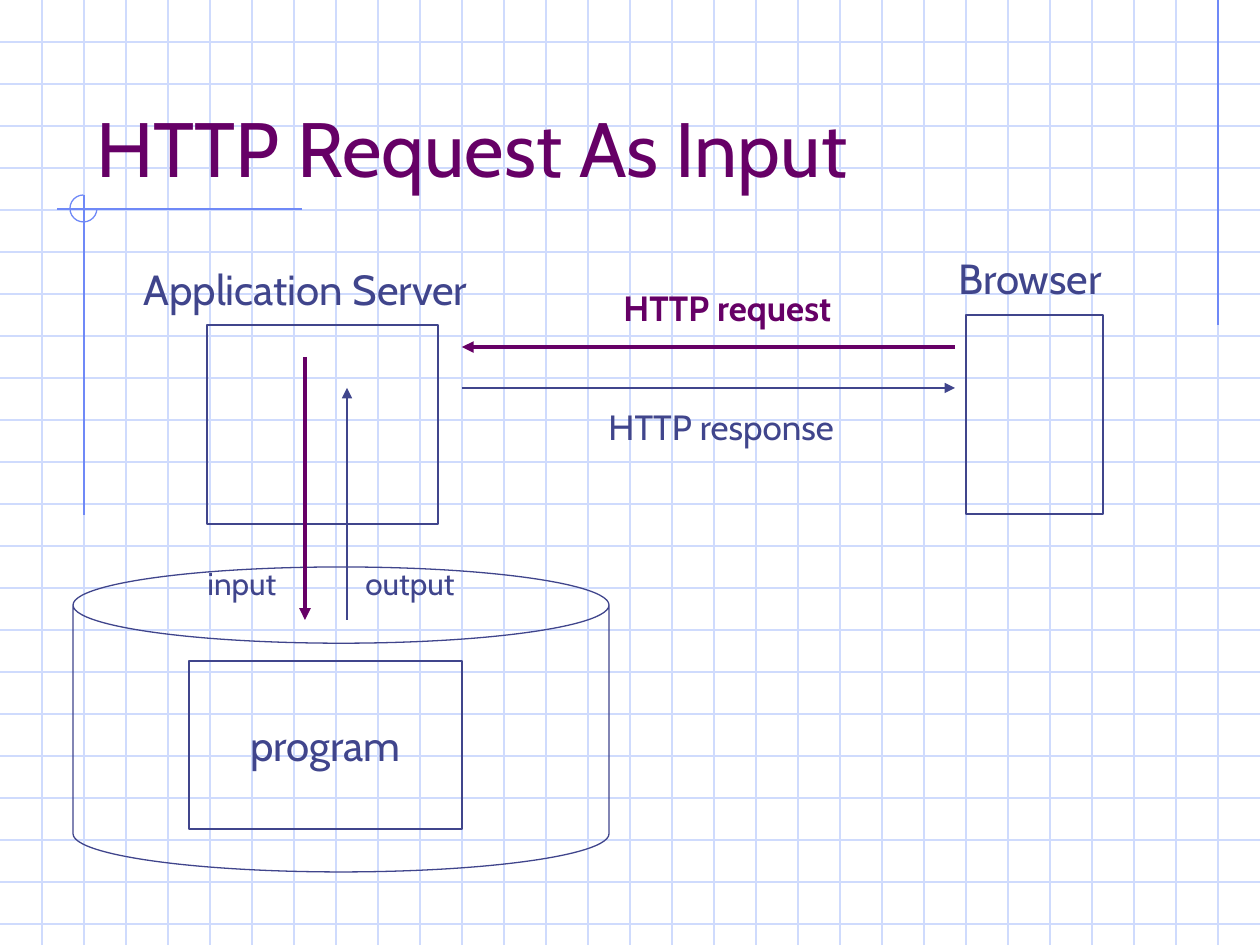
from typing import NamedTuple

from lxml import etree
from pptx import Presentation
from pptx.dml.color import RGBColor
from pptx.enum.shapes import MSO_CONNECTOR, MSO_SHAPE
from pptx.enum.text import MSO_ANCHOR, MSO_AUTO_SIZE, PP_ALIGN
from pptx.oxml.ns import qn
from pptx.util import Emu, Pt

STRAIGHT = MSO_CONNECTOR.STRAIGHT
RECT, CAN, ARC = MSO_SHAPE.RECTANGLE, MSO_SHAPE.CAN, MSO_SHAPE.ARC
TOP, MIDDLE, BOTTOM = MSO_ANCHOR.TOP, MSO_ANCHOR.MIDDLE, MSO_ANCHOR.BOTTOM
FIT_SHAPE, NO_FIT = MSO_AUTO_SIZE.SHAPE_TO_FIT_TEXT, MSO_AUTO_SIZE.NONE
CENTER = PP_ALIGN.CENTER

PX_PER_INCH = 126
WIDTH, HEIGHT, CELL = 1260, 945, 42
FONT = "Cabin"
GRID, ACCENT, INK, PLUM = "CFDBFD", "6F89F7", "40458C", "660066"
THIN, THICK = 0.75, 2.25


class Line(NamedTuple):
    x1: int
    y1: int
    x2: int
    y2: int
    color: str = INK
    weight: float = THIN
    arrow: bool = False


class Outline(NamedTuple):
    kind: MSO_SHAPE
    x: int
    y: int
    w: int
    h: int
    color: str = INK


class Label(NamedTuple):
    text: str
    x: int
    y: int
    w: int
    h: int
    size: int
    color: str = INK
    bold: bool = False


def px(n: int) -> Emu:
    return Emu(round(n * 914400 / PX_PER_INCH))


def rgb(color: str) -> RGBColor:
    return RGBColor.from_string(color)


def draw_line(s, line: Line):
    c = s.shapes.add_connector(STRAIGHT, px(line.x1), px(line.y1), px(line.x2), px(line.y2))
    c.line.color.rgb = rgb(line.color)
    c.line.width = Pt(line.weight)
    if line.arrow:
        etree.SubElement(c.line._get_or_add_ln(), qn("a:tailEnd"), type="triangle")
    etree.SubElement(c._element.spPr, qn("a:effectLst"))
    return c


def draw_outline(s, o: Outline):
    sp = s.shapes.add_shape(o.kind, px(o.x), px(o.y), px(o.w), px(o.h))
    sp.shadow.inherit = False
    sp.fill.background()
    sp.line.color.rgb = rgb(o.color)
    sp.line.width = Pt(THIN)
    return sp


def write(sp, text: str, size: int, color: str, bold: bool = False):
    tf = sp.text_frame
    tf.text = text
    tf.word_wrap = False
    font = tf.paragraphs[0].runs[0].font
    font.name, font.size, font.bold = FONT, Pt(size), bold
    font.color.rgb = rgb(color)
    return tf


def draw_label(s, label: Label):
    sp = s.shapes.add_textbox(px(label.x), px(label.y), px(label.w), px(label.h))
    tf = write(sp, label.text, label.size, label.color, label.bold)
    tf.vertical_anchor = TOP
    tf.auto_size = FIT_SHAPE
    return tf


FRAME = [
    Line(1218, 0, 1218, 325, ACCENT),
    Line(302, 209, 57, 209, ACCENT),
    Line(84, 195, 84, 515, ACCENT),
]
TITLE = Label("HTTP Request As Input", 84, 42, 1071, 157, 44, PLUM)
BROWSER = Outline(RECT, 966, 315, 137, 199)
SERVER = Outline(RECT, 207, 325, 231, 199)
STORE = Outline(CAN, 73, 567, 536, 305)
PROGRAM = Outline(RECT, 189, 661, 273, 168)
ARROWS = [
    Line(955, 347, 462, 347, PLUM, THICK, True),
    Line(305, 357, 305, 620, PLUM, THICK, True),
    Line(347, 620, 347, 388, arrow=True),
    Line(462, 388, 955, 388, arrow=True),
]
LABELS = [
    Label("Browser", 946, 246, 189, 63, 24),
    Label("Application Server", 131, 257, 383, 63, 24),
    Label("HTTP request", 611, 280, 258, 55, 20, PLUM, True),
    Label("HTTP response", 596, 399, 272, 55, 20),
    Label("input", 195, 558, 102, 50, 18),
    Label("output", 353, 558, 125, 50, 18),
]


def main():
    prs = Presentation()
    prs.slide_width, prs.slide_height = px(WIDTH), px(HEIGHT)
    s = prs.slides.add_slide(prs.slide_layouts[6])

    # Graph paper
    for y in range(CELL, HEIGHT, CELL):
        draw_line(s, Line(0, y, WIDTH, y, GRID))
    for x in range(CELL, WIDTH, CELL):
        draw_line(s, Line(x, 0, x, HEIGHT, GRID))

    # Frame lines and the three-quarter circle at their crossing
    for line in FRAME:
        draw_line(s, line)
    arc = draw_outline(s, Outline(ARC, 70, 195, 27, 27, ACCENT))
    arc.adjustments[0], arc.adjustments[1] = 0, 162  # 0 to 270 degrees

    # Title
    tf = draw_label(s, TITLE)
    tf.word_wrap, tf.auto_size, tf.vertical_anchor = True, NO_FIT, BOTTOM

    # Browser, server and the store holding the program
    for outline in (BROWSER, SERVER, STORE):
        draw_outline(s, outline)
    tf = write(draw_outline(s, PROGRAM), "program", 24, INK)
    tf.vertical_anchor = MIDDLE
    tf.paragraphs[0].alignment = CENTER

    # Data flow
    for arrow in ARROWS:
        draw_line(s, arrow)
    for label in LABELS:
        draw_label(s, label)

    prs.save("out.pptx")


if __name__ == "__main__":
    main()
